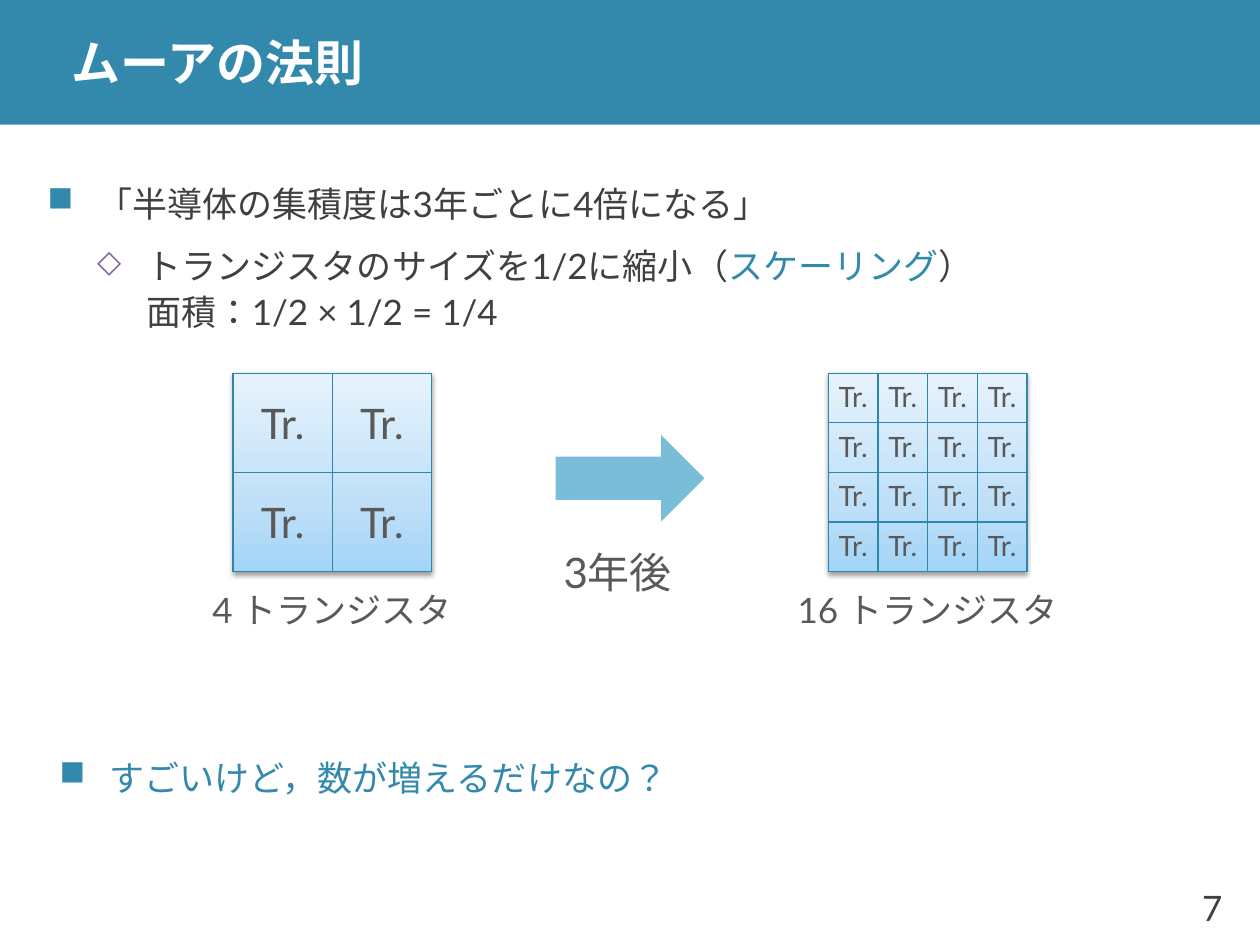
from dataclasses import dataclass
from itertools import product
from typing import Any, Optional

from lxml.etree import SubElement
from pptx import Presentation
from pptx.dml.color import RGBColor
from pptx.enum.lang import MSO_LANGUAGE_ID
from pptx.enum.shapes import MSO_SHAPE
from pptx.enum.text import MSO_ANCHOR, PP_ALIGN
from pptx.oxml import parse_xml
from pptx.oxml.ns import nsdecls, qn
from pptx.util import Pt


@dataclass(frozen=True)
class Theme:
    font: str = "Lato"
    accent: str = "3289AC"
    outline: str = "2E87AB"
    arrow: str = "79BDD8"
    white: str = "FFFFFF"
    body: str = "404040"
    label: str = "595959"
    diamond: str = "8064A2"
    shadow: str = "000000"
    gradient: tuple = ((0, "A2D4F7"), (35, "BFE0F8"), (100, "E6F3FD"))
    title_size: float = 28
    large_size: float = 24
    text_size: float = 20
    small_size: float = 16


THEME = Theme()


@dataclass(frozen=True)
class Box:
    left: float
    top: float
    width: float
    height: float

    def lengths(self) -> tuple:
        return tuple(Pt(value) for value in (self.left, self.top, self.width, self.height))


@dataclass(frozen=True)
class Bullet:
    character: str
    color: str
    level: int = 0
    percent: int = 100


@dataclass(frozen=True)
class Chip:
    left: float
    cells_per_side: int
    text_size: float
    anchor: Any
    wrap: bool
    caption: str


CHIP_TOP = 213.3
CHIP_SIDE = 113.4
CAPTION_WIDTH = 200
LABEL_HEIGHT = 56.7
INDENT = 28.35
SQUARE = Bullet("■", THEME.accent)
DIAMOND = Bullet("◇", THEME.diamond, 1, 90)
CHIPS = (
    Chip(133.2, 2, THEME.large_size, MSO_ANCHOR.MIDDLE, True, "4 トランジスタ"),
    Chip(473.4, 4, THEME.small_size, MSO_ANCHOR.TOP, False, "16 トランジスタ"),
)


def apply_format(target: Any, values: dict) -> None:
    for name, value in values.items():
        setattr(target, name, value)


def add_run(paragraph: Any, text: str, size: float, color: str, bold: bool = False) -> None:
    run = paragraph.add_run()
    run.text = text
    apply_format(run.font, {"name": THEME.font, "size": Pt(size), "bold": bold,
                            "language_id": MSO_LANGUAGE_ID.JAPANESE})
    run.font.color.rgb = RGBColor.from_string(color)


def add_shape(slide: Any, kind: Any, box: Box, fill: Optional[str] = None,
              line: Optional[str] = None) -> Any:
    shape = slide.shapes.add_shape(kind, *box.lengths())
    shape.shadow.inherit = False
    if fill:
        shape.fill.solid()
        shape.fill.fore_color.rgb = RGBColor.from_string(fill)
    else:
        shape.fill.background()
    if line:
        shape.line.color.rgb = RGBColor.from_string(line)
        shape.line.width = Pt(0.75)
    else:
        shape.line.fill.background()
    return shape


def add_text(slide: Any, box: Box) -> Any:
    frame = slide.shapes.add_textbox(*box.lengths()).text_frame
    apply_format(frame, {"word_wrap": True, "vertical_anchor": MSO_ANCHOR.MIDDLE})
    return frame


def add_label(slide: Any, box: Box, text: str, size: float, color: str = THEME.label,
              alignment: Any = PP_ALIGN.CENTER) -> None:
    paragraph = add_text(slide, box).paragraphs[0]
    paragraph.alignment = alignment
    add_run(paragraph, text, size, color)


def format_bullet(paragraph: Any, bullet: Bullet, before: float, after: float) -> None:
    properties = paragraph._p.get_or_add_pPr()
    properties.set("marL", str(Pt(INDENT * (bullet.level + 1))))
    properties.set("indent", str(-Pt(INDENT)))
    color = SubElement(properties, qn("a:buClr"))
    SubElement(color, qn("a:srgbClr"), val=bullet.color)
    SubElement(properties, qn("a:buSzPct"), val=str(bullet.percent * 1000))
    SubElement(properties, qn("a:buChar"), char=bullet.character)
    apply_format(paragraph, {"level": bullet.level, "line_spacing": 1.1,
                             "space_before": Pt(before), "space_after": Pt(after)})


def style_chip(shape: Any) -> None:
    stops = "".join(
        f'<a:gs pos="{position * 1000}"><a:srgbClr val="{color}"/></a:gs>'
        for position, color in THEME.gradient
    )
    properties = shape._element.spPr
    properties.replace(properties.find(qn("a:noFill")), parse_xml(
        f'<a:gradFill {nsdecls("a")} rotWithShape="1"><a:gsLst>{stops}</a:gsLst>'
        '<a:lin ang="16200000" scaled="0"/></a:gradFill>'))
    properties.find(qn("a:effectLst")).append(parse_xml(
        f'<a:outerShdw {nsdecls("a")} blurRad="{Pt(3.1)}" dist="{Pt(1.6)}" '
        f'dir="5400000" rotWithShape="0"><a:srgbClr val="{THEME.shadow}">'
        '<a:alpha val="38000"/></a:srgbClr></a:outerShdw>'))


def draw_chip(slide: Any, chip: Chip) -> None:
    style_chip(add_shape(slide, MSO_SHAPE.RECTANGLE,
                         Box(chip.left, CHIP_TOP, CHIP_SIDE, CHIP_SIDE), line=THEME.outline))
    cell = CHIP_SIDE / chip.cells_per_side
    for row, column in product(range(chip.cells_per_side), repeat=2):
        box = Box(chip.left + column * cell, CHIP_TOP + row * cell, cell, cell)
        shape = add_shape(slide, MSO_SHAPE.RECTANGLE, box, line=THEME.outline)
        frame = shape.text_frame
        apply_format(frame, {"word_wrap": chip.wrap, "vertical_anchor": chip.anchor})
        frame.paragraphs[0].alignment = PP_ALIGN.CENTER
        add_run(frame.paragraphs[0], "Tr.", chip.text_size, THEME.label)
    caption_left = chip.left + (CHIP_SIDE - CAPTION_WIDTH) / 2
    add_label(slide, Box(caption_left, 319.7, CAPTION_WIDTH, LABEL_HEIGHT),
              chip.caption, THEME.text_size)


def draw_heading(slide: Any) -> None:
    add_shape(slide, MSO_SHAPE.RECTANGLE, Box(0, 0, 720, 71.3), fill=THEME.accent)
    frame = add_text(slide, Box(33.8, 0, 686.2, 71.3))
    apply_format(frame, {"margin_top": 0, "margin_bottom": 0})
    add_run(frame.paragraphs[0], "ムーアの法則", THEME.title_size, THEME.white, bold=True)


def draw_statements(slide: Any) -> None:
    frame = add_text(slide, Box(20, 85.7, 680.4, 120.2))
    law = frame.paragraphs[0]
    format_bullet(law, SQUARE, 0, 6)
    add_run(law, "「半導体の集積度は3年ごとに4倍になる」", THEME.text_size, THEME.body)
    scaling = frame.add_paragraph()
    format_bullet(scaling, DIAMOND, 3, 3)
    add_run(scaling, "トランジスタのサイズを1/2に縮小（", THEME.text_size, THEME.body)
    add_run(scaling, "スケーリング", THEME.text_size, THEME.accent)
    add_run(scaling, "）", THEME.text_size, THEME.body)
    scaling.add_line_break()
    add_run(scaling, "面積：1/2 × 1/2 = 1/4", THEME.text_size, THEME.body)

    question = add_text(slide, Box(26.9, 383, 673.2, 120.2)).paragraphs[0]
    format_bullet(question, SQUARE, 0, 6)
    add_run(question, "すごいけど，数が増えるだけなの？", THEME.text_size, THEME.accent)


def main() -> None:
    presentation = Presentation()
    apply_format(presentation, {"slide_width": Pt(720), "slide_height": Pt(540)})
    slide = presentation.slides.add_slide(presentation.slide_layouts[6])
    draw_heading(slide)
    draw_statements(slide)
    for chip in CHIPS:
        draw_chip(slide, chip)
    add_shape(slide, MSO_SHAPE.RIGHT_ARROW, Box(317.5, 248.5, 85, 49.6), fill=THEME.arrow)
    add_label(slide, Box(303, 298.1, 100, LABEL_HEIGHT), "3年後", THEME.large_size)
    add_label(slide, Box(657.4, 496.8, 48.2, 43.2), "7", THEME.text_size,
              THEME.body, PP_ALIGN.RIGHT)
    presentation.save("out.pptx")


if __name__ == "__main__":
    main()
